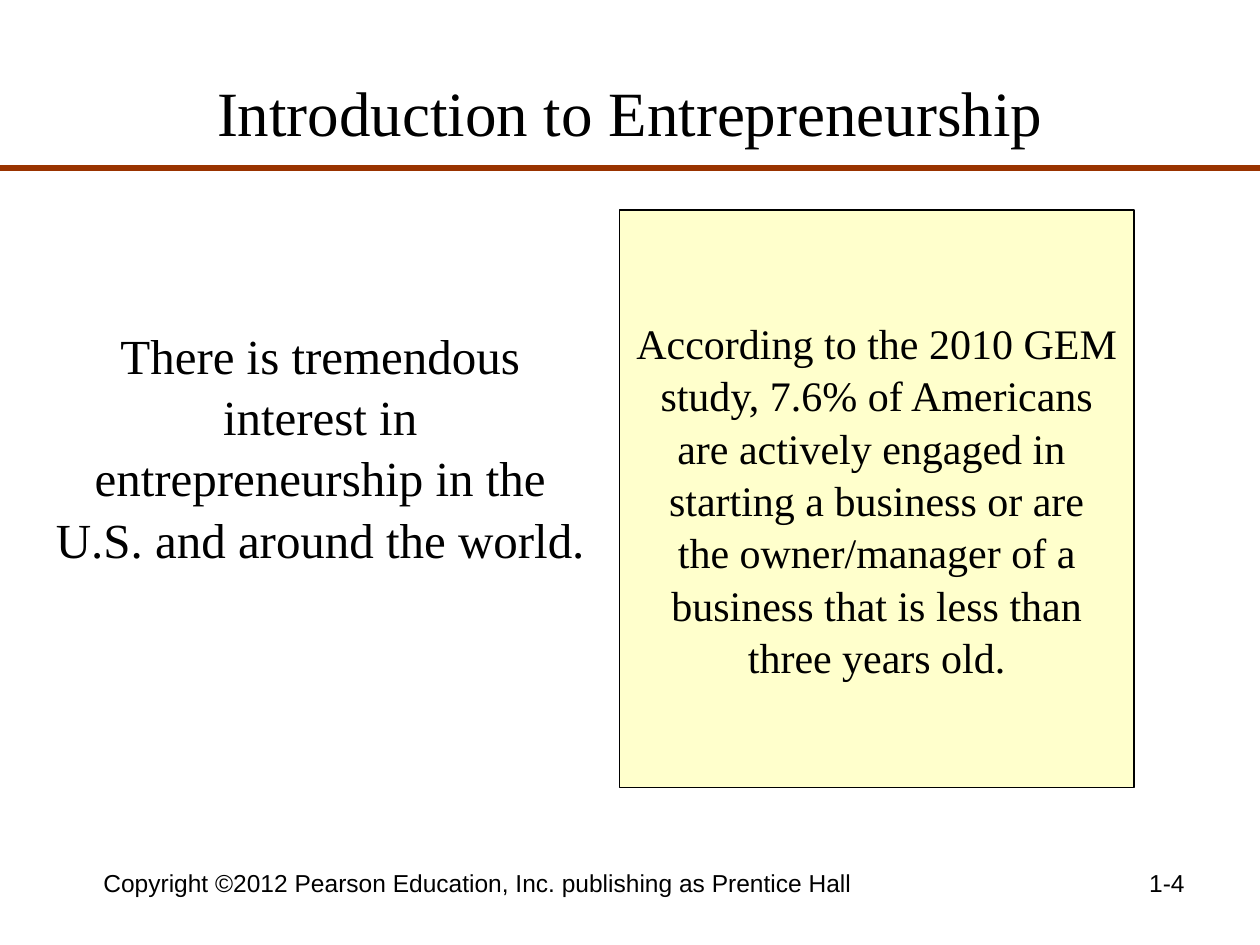
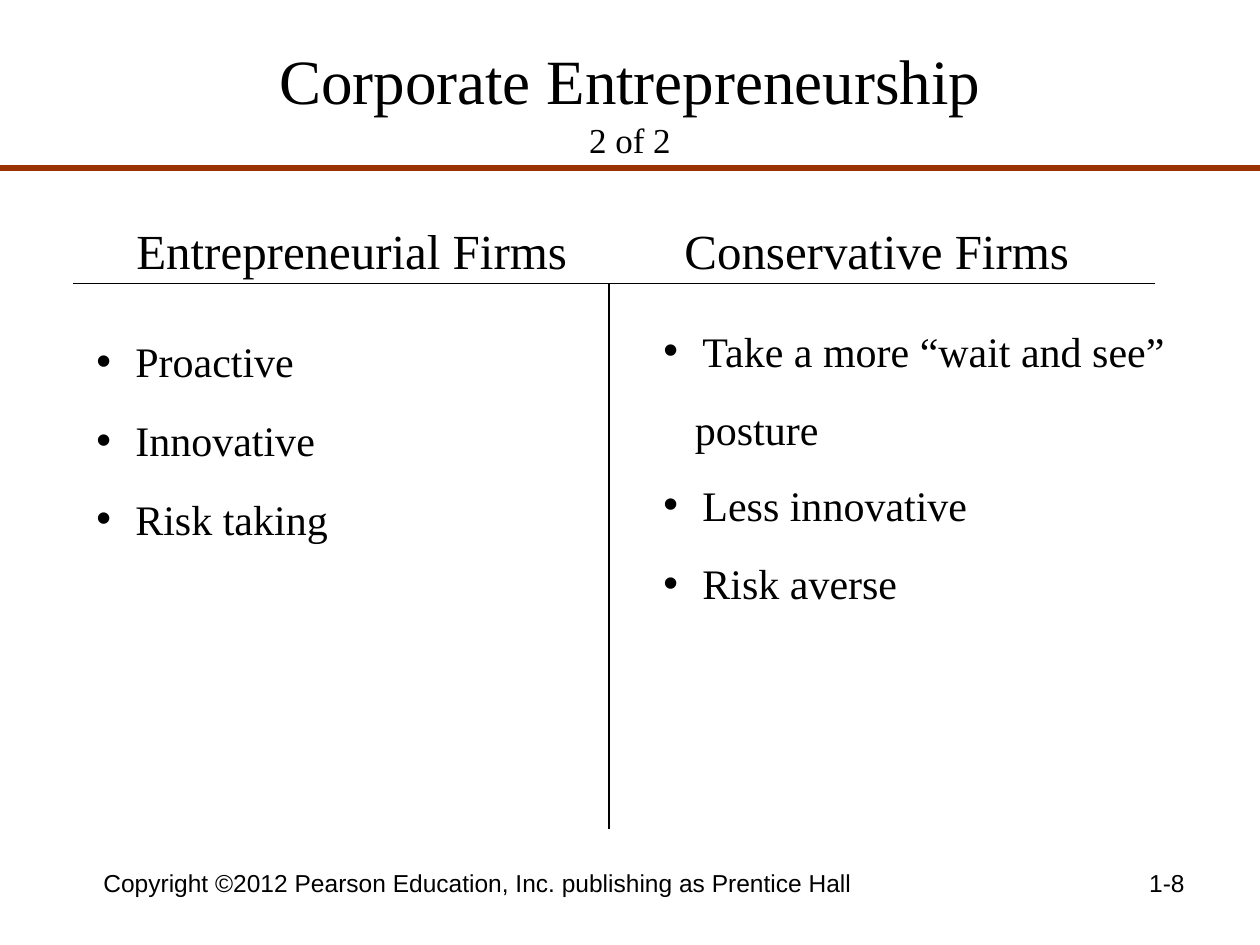
from dataclasses import dataclass

from lxml.etree import SubElement
from pptx import Presentation
from pptx.dml.color import RGBColor as Color
from pptx.enum.shapes import MSO_CONNECTOR as Connector, MSO_SHAPE as Shape
from pptx.enum.text import MSO_ANCHOR as Anchor, PP_ALIGN as Align
from pptx.oxml.ns import qn
from pptx.util import Inches, Pt


@dataclass(frozen=True)
class Theme:
    """Colours, fonts and type sizes shared by the slides."""
    ink: Color = Color.from_string("000000")
    rule: Color = Color.from_string("993300")
    panel: Color = Color.from_string("FFFFCC")
    serif: str = "Times New Roman"
    sans: str = "Arial"
    title: int = 36
    subtitle: int = 20
    heading: int = 28
    body: int = 24
    footer: int = 14
    leading: float = 1.04


THEME = Theme()
COLUMNS, ROWS = 120, 90
COPYRIGHT = "Copyright ©2012 Pearson Education, Inc. publishing as Prentice Hall"
GEM_LINES = [
    "According to the 2010 GEM",
    "study, 7.6% of Americans",
    "are actively engaged in ",
    "starting a business or are",
    "the owner/manager of a",
    "business that is less than",
    "three years old.",
]


def grid(*cells):
    """Turn grid columns and rows into lengths, twelve to the inch."""
    return [Inches(cell / 12) for cell in cells]


def write(box, lines, size, font=THEME.serif, align=Align.CENTER, anchor=Anchor.TOP):
    """Fill a box with one formatted paragraph per line."""
    frame = box.text_frame
    frame.word_wrap = True
    frame.vertical_anchor = anchor
    frame.text = "\n".join(lines)
    for para in frame.paragraphs:
        para.alignment = align
        para.line_spacing = THEME.leading
        for span in para.runs:
            span.font.name = font
            span.font.size = Pt(size)
            span.font.color.rgb = THEME.ink
    return frame


def add_text(page, place, lines, size, **style):
    """Add a text box at a grid place."""
    return write(page.shapes.add_textbox(*grid(*place)), lines, size, **style)


def add_rule(page, ends, color=THEME.ink, width=0.75):
    """Draw a straight line between two grid points."""
    line = page.shapes.add_connector(Connector.STRAIGHT, *grid(*ends))
    line.line.color.rgb = color
    line.line.width = Pt(width)
    SubElement(line._element.spPr, qn("a:effectLst"))


def add_panel(page, place, lines):
    """Add an outlined panel with centred lines of text."""
    panel = page.shapes.add_shape(Shape.RECTANGLE, *grid(*place))
    panel.shadow.inherit = False
    panel.fill.solid()
    panel.fill.fore_color.rgb = THEME.panel
    panel.line.color.rgb = THEME.ink
    panel.line.width = Pt(0.75)
    write(panel, lines, THEME.body, anchor=Anchor.MIDDLE).word_wrap = False


def indent(para, margin, bullet=True):
    """Indent a paragraph, hanging a bullet in the margin if asked."""
    properties = para._p.get_or_add_pPr()
    properties.set("marL", str(Inches(margin)))
    properties.set("indent", str(Inches(-margin if bullet else 0)))
    if bullet:
        SubElement(properties, qn("a:buFont"), typeface=THEME.sans)
        SubElement(properties, qn("a:buChar"), char="•")


def add_bullets(page, place, items, continued=()):
    """Add a bulleted list; continued items carry on the one before."""
    frame = add_text(page, place, items, THEME.body, align=Align.LEFT)
    for index, para in enumerate(frame.paragraphs):
        if index:
            para.space_before = Pt(13 if items[index - 1] in continued else 15)
        is_continued = items[index] in continued
        indent(para, 0.25 if is_continued else 0.31, not is_continued)


def add_page(deck, title, number, top, subtitle=""):
    """Add a slide with title, rule, copyright line and page number."""
    page = deck.slides.add_slide(deck.slide_layouts[6])
    text = f"{title}\v{subtitle}" if subtitle else title
    frame = add_text(page, (6, top, 108, 15), [text], THEME.title, anchor=Anchor.MIDDLE)
    for span in frame.paragraphs[0].runs[1:]:
        span.font.size = Pt(THEME.subtitle)
    add_rule(page, (0, 16, COLUMNS, 16), THEME.rule, 3)
    add_text(page, (86, 82, 28, 6.2), [number], THEME.footer,
             font=THEME.sans, align=Align.RIGHT)
    add_text(page, (6, 82, 79, 6.2), [COPYRIGHT], THEME.footer, font=THEME.sans)
    return page


def build_introduction(deck):
    """Build the slide that introduces entrepreneurship."""
    page = add_page(deck, "Introduction to Entrepreneurship", "1-4", 3)
    interest = ("There is tremendous interest in entrepreneurship in the "
                "U.S. and around the world.")
    add_text(page, (4, 30.2, 53, 23.6), [interest], THEME.heading)
    add_panel(page, (59, 20, 49, 55), GEM_LINES)


def build_comparison(deck):
    """Build the slide that compares two kinds of firm."""
    page = add_page(deck, "Corporate Entrepreneurship", "1-8", 2, "2 of 2")
    add_rule(page, (58, 27, 58, 79))
    add_rule(page, (7, 27, 110, 27))
    add_text(page, (10, 20.2, 47, 6.8), ["Entrepreneurial Firms"], THEME.heading)
    add_text(page, (62, 20.2, 43, 6.8), ["Conservative Firms"], THEME.heading)
    add_bullets(page, (8, 31.2, 49, 20.6), ["Proactive", "Innovative", "Risk taking"])
    add_bullets(page, (62, 30.2, 52, 25.6),
                ["Take a more “wait and see”", "posture", "Less innovative", "Risk averse"],
                continued=("posture",))


def main():
    """Build and save the deck."""
    deck = Presentation()
    deck.slide_width, deck.slide_height = grid(COLUMNS, ROWS)
    build_introduction(deck)
    build_comparison(deck)
    deck.save("out.pptx")


if __name__ == "__main__":
    main()
